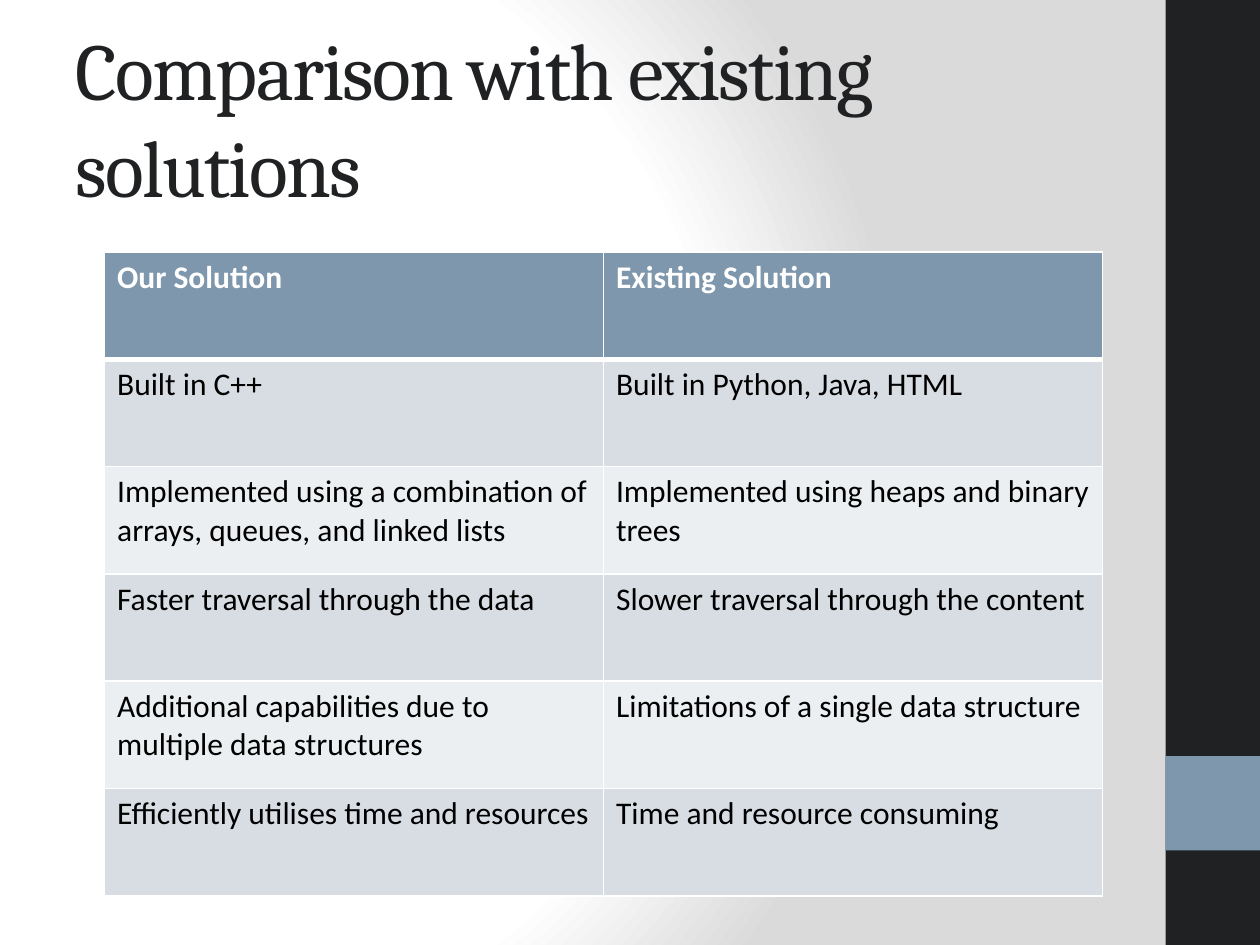
import pptx
import pptx.dml.color
import pptx.enum.shapes
import pptx.enum.text
import pptx.oxml
import pptx.oxml.ns
import pptx.util
from pptx.dml.color import RGBColor
from pptx.util import Inches

WHITE = RGBColor(0xFF, 0xFF, 0xFF)
BLACK = RGBColor(0x00, 0x00, 0x00)
GREY = RGBColor(0xDA, 0xDA, 0xDA)
DARK = RGBColor(0x1F, 0x21, 0x23)
BLUE = RGBColor(0x7E, 0x97, 0xAD)
BANDS = (RGBColor(0xD8, 0xDD, 0xE3), RGBColor(0xEC, 0xEF, 0xF1))

TITLE = "Comparison with existing solutions"
ROWS = [
    ("Our Solution", "Existing Solution"),
    ("Built in C++", "Built in Python, Java, HTML"),
    ("Implemented using a combination of arrays, queues, and linked lists",
     "Implemented using heaps and binary trees"),
    ("Faster traversal through the data", "Slower traversal through the content"),
    ("Additional capabilities due to multiple data structures",
     "Limitations of a single data structure"),
    ("Efficiently utilises time and resources", "Time and resource consuming"),
]
SIDE_BLOCKS = [(0, 7.5, DARK), (6, 0.75, BLUE)]  # top, height, colour
BACKGROUND_STOPS = [(0, WHITE), (75, WHITE), (100, GREY)]


def set_background(s):
    """Fill the slide with a radial gradient."""
    s.background.fill.gradient()
    old = s.background.fill._xPr.find(pptx.oxml.ns.qn("a:gradFill"))
    stops = "".join(f'<a:gs pos="{pos * 1000}"><a:srgbClr val="{color}"/></a:gs>'
                    for pos, color in BACKGROUND_STOPS)
    new = pptx.oxml.parse_xml(
        f'<a:gradFill {pptx.oxml.ns.nsdecls("a")} rotWithShape="1"><a:gsLst>{stops}</a:gsLst>'
        '<a:path path="circle"><a:fillToRect l="20000" t="50000" r="100000" b="50000"/>'
        '</a:path></a:gradFill>')
    old.getparent().replace(old, new)


def add_side_block(s, top, height, color):
    """Add one block of the right-hand strip."""
    sp = s.shapes.add_shape(pptx.enum.shapes.MSO_SHAPE.RECTANGLE,
                            Inches(9.25), Inches(top), Inches(0.75), Inches(height))
    sp.shadow.inherit = False
    sp.fill.solid()
    sp.fill.fore_color.rgb = color
    sp.line.fill.background()


def style_font(p, name, size, color, bold=False):
    """Set the font of a paragraph."""
    p.font.name = name
    p.font.size = pptx.util.Pt(size)
    p.font.color.rgb = color
    p.font.bold = bold


def add_title(s):
    """Add the slide title."""
    tf = s.shapes.add_textbox(Inches(0.5), Inches(0.3), Inches(8.33), Inches(1.25)).text_frame
    tf.word_wrap = True
    tf.vertical_anchor = pptx.enum.text.MSO_ANCHOR.MIDDLE
    p = tf.paragraphs[0]
    r = p.add_run()
    r.text = TITLE
    style_font(p, "Cambria", 46, DARK)
    r.font._element.set("spc", "-100")


def set_borders(cell, **widths):
    """Draw white cell borders, with widths in points by side."""
    tc_pr = cell._tc.get_or_add_tcPr()
    for i, side in enumerate("LRTB"):
        width = pptx.util.Pt(widths.get(side, 1))
        tc_pr.insert(i, pptx.oxml.parse_xml(
            f'<a:ln{side} {pptx.oxml.ns.nsdecls("a")} w="{width}"><a:solidFill>'
            f'<a:srgbClr val="{WHITE}"/></a:solidFill></a:ln{side}>'))


def add_comparison(s):
    """Add the comparison table with a header and banded rows."""
    table = s.shapes.add_table(len(ROWS), 2, Inches(0.83), Inches(2),
                               Inches(7.92), Inches(5.11)).table
    for i, row in enumerate(ROWS):
        header = i == 0
        for j, text in enumerate(row):
            cell = table.cell(i, j)
            cell.text = text
            style_font(cell.text_frame.paragraphs[0], "Calibri", 18,
                       WHITE if header else BLACK, header)
            cell.fill.solid()
            cell.fill.fore_color.rgb = BLUE if header else BANDS[(i - 1) % 2]
            set_borders(cell, T=3 if i == 1 else 1, B=3 if header else 1)


prs = pptx.Presentation()
prs.slide_width, prs.slide_height = Inches(10), Inches(7.5)
s = prs.slides.add_slide(prs.slide_layouts[6])
set_background(s)
for block in SIDE_BLOCKS:
    add_side_block(s, *block)
add_title(s)
add_comparison(s)
prs.save("out.pptx")
